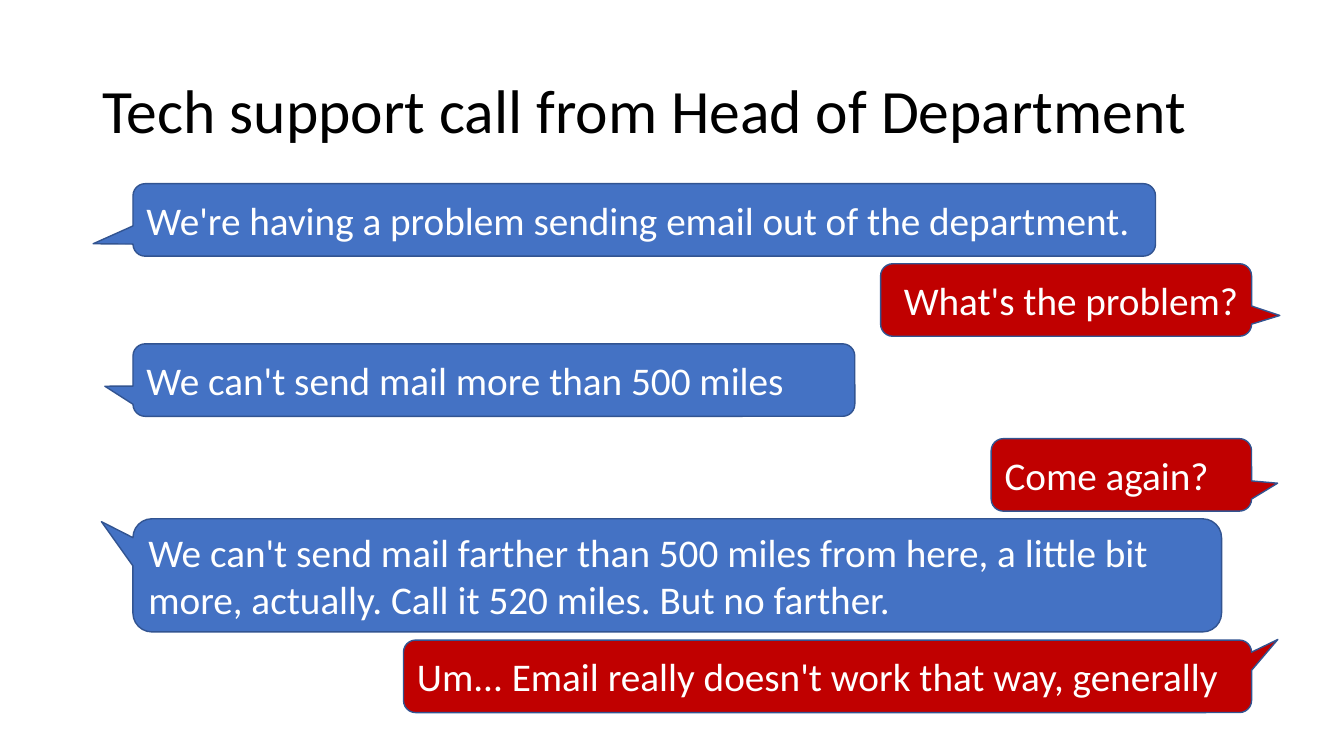
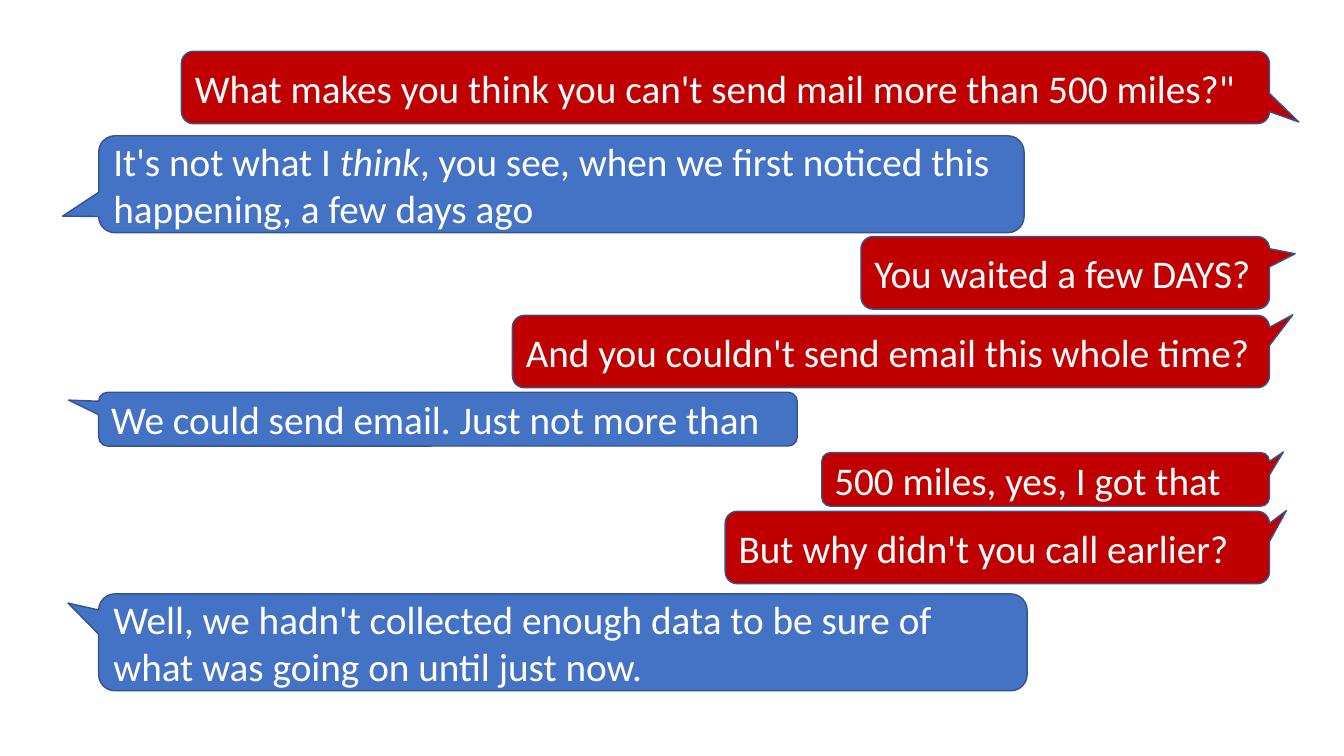
from dataclasses import dataclass

from pptx import Presentation
from pptx import util as u
from pptx.dml import color
from pptx.enum import shapes, text

HUES = {
    "caller": "4472C4",
    "tech": "C00000",
    "edge": "325491",
    "light": "FFFFFF",
    "dark": "000000",
}
FONT = "Calibri"
TALL, MID, LOW = 69.2, 51.8, 38.4
ROUND = 0.167


@dataclass(frozen=True)
class Bubble:
    who: str
    top: float
    width: float
    height: float
    tail: tuple[float, float]
    words: str
    align: text.PP_ALIGN = text.PP_ALIGN.LEFT


@dataclass(frozen=True)
class Scene:
    left: float
    right: float
    talk: tuple[Bubble, ...]
    title: str = ""


SCENES = (
    Scene(95, 894, (
        Bubble("caller", 131.2, 730.4, MID, (-0.539, 0.329),
               "We're having a problem sending email out of the department."),
        Bubble("tech", 188.4, 265, MID, (0.576, 0.214),
               "What's the problem?", text.PP_ALIGN.RIGHT),
        Bubble("caller", 245.6, 515.6, MID, (-0.539, 0.085),
               "We can't send mail more than 500 miles"),
        Bubble("tech", 313.3, 186, MID, (0.6, 0.115), "Come again?"),
        Bubble("caller", 370.6, 777.6, 80.8, (-0.529, -0.475),
               "We can't send mail farther than 500 miles from here, a little "
               "bit more, actually. Call it 520 miles. But no farther."),
        Bubble("tech", 457.2, 605.8, MID, (0.531, -0.509),
               "Um... Email really doesn't work that way, generally"),
    ), "Tech support call from Head of Department"),
    Scene(70.5, 906.8, (
        Bubble("tech", 36.6, 777.2, MID, (0.527, 0.477),
               "What makes you think you can't send mail more than 500 miles?\""),
        Bubble("caller", 97, 661, TALL, (-0.539, 0.329),
               "It's not what I *think*, you see, when we first noticed this "
               "happening, a few days ago"),
        Bubble("tech", 169, 291.8, MID, (0.563, -0.263),
               "You waited a few DAYS?"),
        Bubble("tech", 225.2, 540.8, MID, (0.531, -0.509),
               "And you couldn't send email this whole time?"),
        Bubble("caller", 280.2, 499, LOW, (-0.543, -0.354),
               "We could send email. Just not more than"),
        Bubble("tech", 323.2, 319.8, LOW, (0.531, -0.509),
               "500 miles, yes, I got that"),
        Bubble("tech", 365.2, 388.8, MID, (0.531, -0.509),
               "But why didn't you call earlier?"),
        Bubble("caller", 424.2, 663.2, TALL, (-0.533, -0.405),
               "Well, we hadn't collected enough data to be sure of what was "
               "going on until just now."),
    )),
)


def hue(name: str) -> color.RGBColor:
    return color.RGBColor.from_string(HUES[name])


def write(shape, words: str, size: float, ink: str,
          align: text.PP_ALIGN = text.PP_ALIGN.LEFT):
    frame = shape.text_frame
    frame.word_wrap = True
    frame.vertical_anchor = text.MSO_ANCHOR.MIDDLE
    para = frame.paragraphs[0]
    para.alignment = align
    para.font.name = FONT
    para.font.size = u.Pt(size)
    para.font.color.rgb = hue(ink)
    for spot, part in enumerate(words.split("*")):
        run = para.add_run()
        run.text = part
        if spot % 2:
            run.font.italic = True
    return para


def head(slide, words: str) -> None:
    box = slide.shapes.add_textbox(u.Pt(66), u.Pt(28.8), u.Pt(828), u.Pt(104.4))
    write(box, words, 44, "dark").line_spacing = 0.9


def speak(slide, scene: Scene, item: Bubble) -> None:
    left = scene.left if item.who == "caller" else scene.right - item.width
    shape = slide.shapes.add_shape(
        shapes.MSO_SHAPE.ROUNDED_RECTANGULAR_CALLOUT,
        u.Pt(left), u.Pt(item.top), u.Pt(item.width), u.Pt(item.height))
    for spot, value in enumerate((*item.tail, ROUND)):
        shape.adjustments[spot] = value
    shape.shadow.inherit = False
    shape.fill.solid()
    shape.fill.fore_color.rgb = hue(item.who)
    shape.line.color.rgb = hue("edge")
    shape.line.width = u.Pt(1)
    write(shape, item.words, 28, "light", item.align)


def main() -> None:
    deck = Presentation()
    deck.slide_width, deck.slide_height = u.Pt(960), u.Pt(540)
    for scene in SCENES:
        slide = deck.slides.add_slide(deck.slide_layouts[6])
        if scene.title:
            head(slide, scene.title)
        for item in scene.talk:
            speak(slide, scene, item)
    deck.save("out.pptx")


main()
